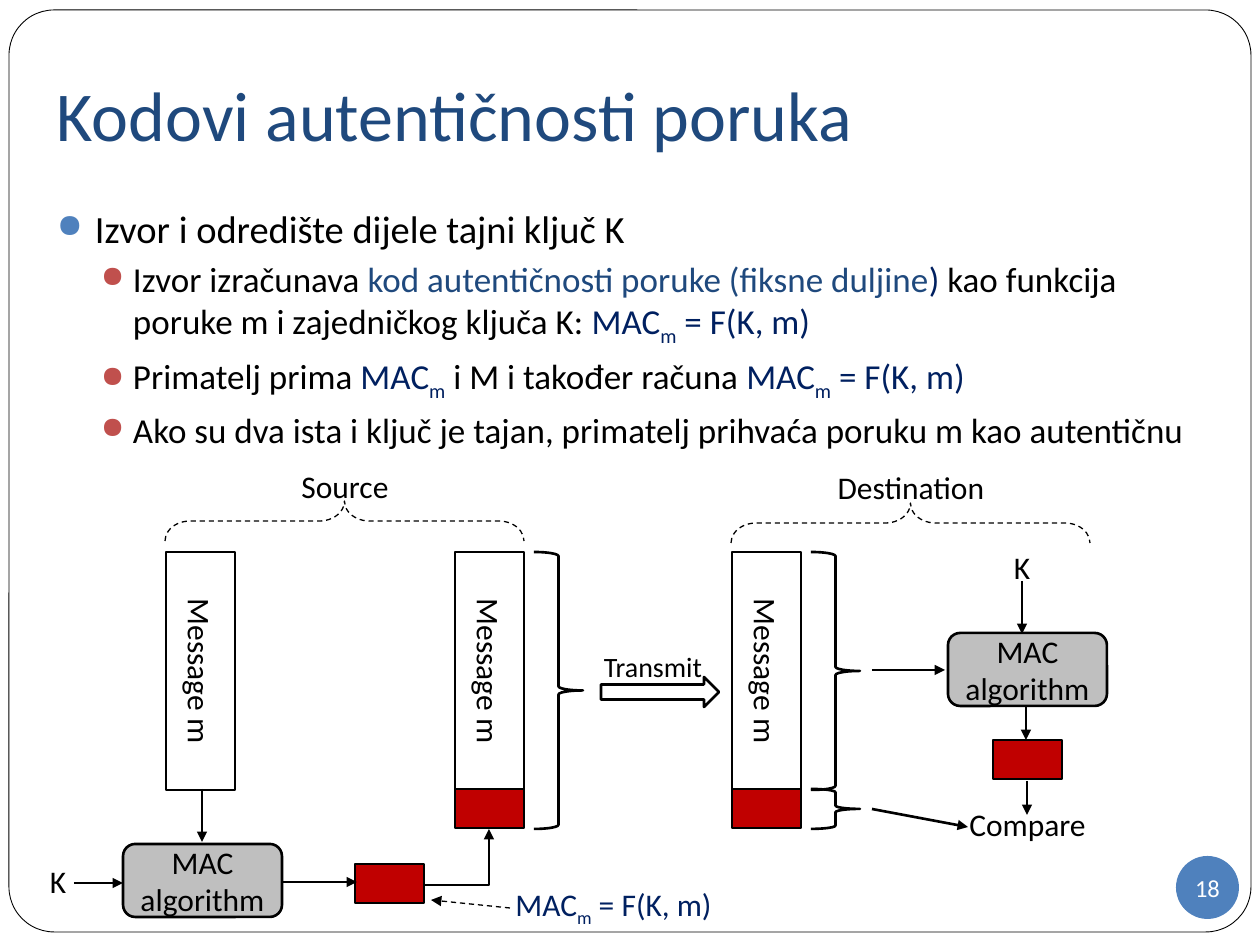
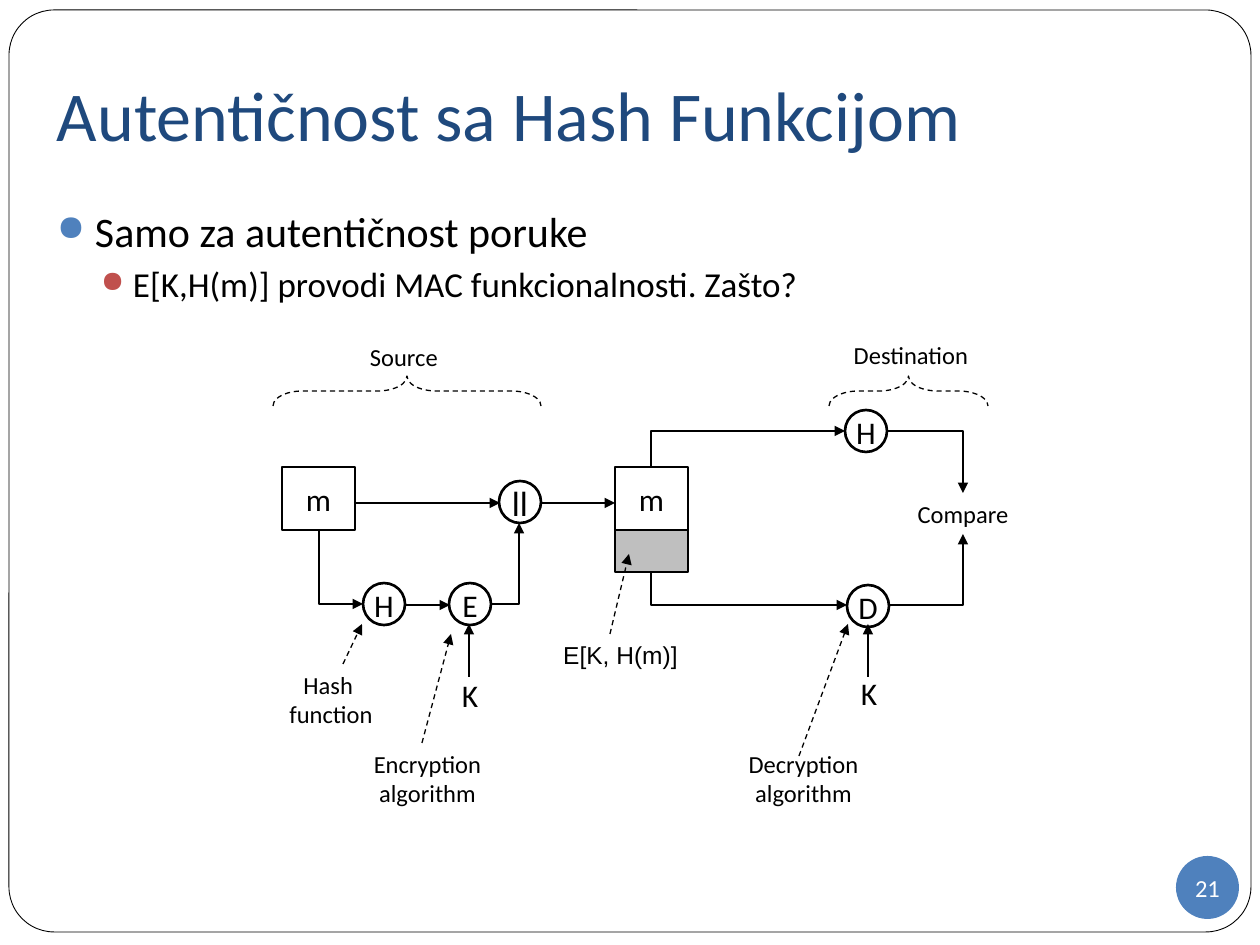
from pptx import Presentation
from pptx.dml.color import RGBColor
from pptx.enum.dml import MSO_LINE
from pptx.enum.shapes import MSO_CONNECTOR, MSO_SHAPE
from pptx.enum.text import MSO_ANCHOR, PP_ALIGN
from pptx.oxml.ns import qn
from pptx.util import Pt
from lxml import etree

PX = 914400 / 126  # EMU per pixel
C = {"title": "1F497D", "text": "000000", "navy": "002060", "white": "FFFFFF",
     "blue": "4F81BD", "brick": "C0504D", "red": "C00000", "grey": "BFBFBF"}
DASH = dict(line=0.75, dash=True)


def put(s, kind, x, y, w, h, text="", fill=None, line=1.5, dash=False, adj=None,
        up=False, size=18, color="text", font="Calibri", align=PP_ALIGN.CENTER,
        anchor=MSO_ANCHOR.MIDDLE, ins=(13, 6, 13, 6), wrap=True, vert=False):
    """Add a text box (kind None) or preset shape; text is a string or
    a list of paragraphs, each a list of (text, colour, subscript) runs."""
    if up:  # brace lying on its side: swap the sides about the same centre
        x, y, w, h = x + (w - h) / 2, y + (h - w) / 2, h, w
    box = [round(v * PX) for v in (x, y, w, h)]
    if kind is None:
        sp = s.shapes.add_textbox(*box)
    else:
        sp = s.shapes.add_shape(kind, *box)
        sp.shadow.inherit = False
        if fill:
            sp.fill.solid()
            sp.fill.fore_color.rgb = RGBColor.from_string(C[fill])
        else:
            sp.fill.background()
        if line:
            sp.line.color.rgb = RGBColor.from_string(C["text"])
            sp.line.width = Pt(line)
            if dash:
                sp.line.dash_style = MSO_LINE.DASH
        else:
            sp.line.fill.background()
        if adj is not None:
            sp.adjustments[0] = adj
    if up:
        sp.rotation = 270
    if not text:
        return sp
    tf = sp.text_frame
    tf.word_wrap = wrap
    tf.vertical_anchor = anchor
    tf.margin_left, tf.margin_top, tf.margin_right, tf.margin_bottom = [
        round(v * PX) for v in ins]
    if vert:
        tf._txBody.bodyPr.set("vert", "vert")
    if isinstance(text, str):
        text = [[(t, color)] for t in text.split("\n")]
    for i, runs in enumerate(text):
        p = tf.add_paragraph() if i else tf.paragraphs[0]
        p.alignment = align
        for t, c, *sub in runs:
            r = p.add_run()
            r.text = t
            r.font.name, r.font.size = font, Pt(size)
            r.font.color.rgb = RGBColor.from_string(C[c])
            if sub:
                r._r.get_or_add_rPr().set("baseline", "-25000")
    return sp


def arrow(s, x1, y1, x2, y2, bend=None, line=1.5, dash=False):
    """Arrow to (x2, y2); bend names the first leg of an elbow, h or v."""
    end = "a:tailEnd"
    if bend == "v":  # the preset elbow starts level, so draw it backwards
        x1, y1, x2, y2, end = x2, y2, x1, y1, "a:headEnd"
    cn = s.shapes.add_connector(MSO_CONNECTOR.ELBOW if bend else MSO_CONNECTOR.STRAIGHT,
                                *[round(v * PX) for v in (x1, y1, x2, y2)])
    spPr = cn._element.spPr
    if bend:
        spPr.find(qn("a:prstGeom")).set("prst", "bentConnector2")
    cn.line.color.rgb = RGBColor.from_string(C["text"])
    cn.line.width = Pt(line)
    if dash:
        cn.line.dash_style = MSO_LINE.DASH
    etree.SubElement(spPr.find(qn("a:ln")), qn(end), type="triangle")
    etree.SubElement(spPr, qn("a:effectLst"))


prs = Presentation()
prs.slide_width, prs.slide_height = round(1260 * PX), round(945 * PX)

mac = [("MAC", "navy"), ("m", "navy", True)]
formula = mac + [(" = F(K, m)", "navy")]
pages = [
    ("Kodovi autentičnosti poruka", "18", 22, [
        [("Izvor i odredište dijele tajni ključ K", "text")],
        [("Izvor izračunava ", "text"),
         ("kod autentičnosti poruke (fiksne duljine", "title"), (") ", "navy"),
         ("kao funkcija poruke m i zajedničkog ključa K: ", "text")] + formula,
        [("Primatelj prima ", "text")] + mac
        + [(" i M i također računa ", "text")] + formula,
        [("Ako su dva ista i ključ je tajan, primatelj prihvaća poruku m kao autentičnu",
          "text")]]),
    ("Autentičnost sa Hash Funkcijom", "21", 24, [
        [("Samo za autentičnost poruke", "text")],
        [("E[K,H(m)] provodi MAC funkcionalnosti. Zašto?", "text")]]),
]

# Shared frame, title, bullets and page number
slides = []
for title, number, first_size, body in pages:
    s = prs.slides.add_slide(prs.slide_layouts[6])
    slides.append(s)
    put(s, MSO_SHAPE.ROUNDED_RECTANGLE, 9, 10, 1242, 922, fill="white", line=0.5, adj=0.049)
    put(s, None, 44, 38, 1181, 157, title, size=40, color="title",
        align=PP_ALIGN.LEFT, ins=(13, 6, 13, 13))
    sp = put(s, None, 44, 199, 1181, 709, body, size=20, align=PP_ALIGN.LEFT,
             anchor=MSO_ANCHOR.TOP)
    for i, p in enumerate(sp.text_frame.paragraphs):
        left, hang, before, dot = (76, 32, 3.8, "brick") if i else (38, 38, 5.8, "blue")
        p.level = 1 if i else 0
        p.space_before = Pt(before)
        pPr = p._p.get_or_add_pPr()
        pPr.set("marL", str(round(left * PX)))
        pPr.set("indent", str(round(-hang * PX)))
        etree.SubElement(etree.SubElement(pPr, qn("a:buClr")), qn("a:srgbClr"), val=C[dot])
        etree.SubElement(pPr, qn("a:buSzPct"), val="85000")
        etree.SubElement(pPr, qn("a:buChar"), char="●")
    for r in sp.text_frame.paragraphs[0].runs:
        r.font.size = Pt(first_size)
    put(s, MSO_SHAPE.OVAL, 1176, 856, 63, 63, number, fill="blue", line=None,
        size=14, color="white", ins=(0, 0, 0, 0), wrap=False)

# Slide 1: message columns, with the code below the last two
s = slides[0]
for x in (166, 455, 732):
    put(s, MSO_SHAPE.RECTANGLE, x, 552, 69, 238, "Message m", vert=True)
for x, y in ((455, 789), (732, 789), (355, 864), (993, 740)):
    put(s, MSO_SHAPE.RECTANGLE, x, y, 69, 39, fill="red")
for x, y in ((123, 844), (948, 633)):
    put(s, MSO_SHAPE.ROUNDED_RECTANGLE, x, y, 159, 73, "MAC algorithm", fill="grey")

# Braces and the transmit arrow
for x, y in ((165, 501), (731, 503)):
    put(s, MSO_SHAPE.RIGHT_BRACE, x, y, 359, 40, up=True, adj=0.626, **DASH)
for x, y, h in ((534, 552, 277), (811, 552, 238), (811, 789, 40)):
    put(s, MSO_SHAPE.RIGHT_BRACE, x, y, 49, h)
put(s, MSO_SHAPE.RIGHT_ARROW, 601, 677, 118, 30)

# Labels
for text, x, y, w, size in (
        ("Source", 243, 461, 204, 18), ("Destination", 809, 462, 204, 18),
        ("K", 993, 542, 58, 18), ("K", 29, 856, 58, 18),
        ("Compare", 960, 799, 135, 18), ("Transmit", 551, 644, 204, 16),
        ([formula], 490, 879, 247, 18)):
    put(s, None, x, y, w, 50, text, size=size, anchor=MSO_ANCHOR.TOP,
        ins=(0, 6, 0, 6))

# Arrows
for ends in ((202, 789, 202, 842), (74, 883, 123, 883), (282, 882, 357, 882),
             (425, 885, 489, 829, "h"), (872, 670, 945, 670), (872, 809, 968, 827),
             (1022, 581, 1022, 634), (1026, 706, 1026, 740), (1027, 781, 1027, 815)):
    arrow(s, *ends)
arrow(s, 510, 908, 431, 900, **DASH)

# Slide 2: message boxes and operation circles
s = slides[1]
for x in (282, 615):
    put(s, MSO_SHAPE.RECTANGLE, x, 467, 73, 63, "m")
put(s, MSO_SHAPE.RECTANGLE, 615, 530, 73, 42, fill="grey")
for text, x, y, size in (("H", 363, 583, 18), ("E", 449, 583, 18), ("ll", 499, 481, 20),
                         ("H", 845, 410, 18), ("D", 847, 585, 18)):
    put(s, MSO_SHAPE.OVAL, x, y, 42, 42, text, size=size, ins=(0, 2, 0, 0), wrap=False)

# Braces
for x, w in ((273, 268), (829, 159)):
    put(s, MSO_SHAPE.RIGHT_BRACE, x, 376, w, 30, up=True, adj=0.981, **DASH)

# Labels
for x, y in ((441, 670), (840, 668)):
    put(s, None, x, y, 58, 50, "K", anchor=MSO_ANCHOR.TOP)
for text, x, y, w, h, font in (
        ("Source", 302, 336, 204, 43, "Calibri"),
        ("Destination", 809, 334, 204, 43, "Calibri"),
        ("Compare", 898, 493, 130, 43, "Calibri"),
        ("Hash \nfunction", 272, 664, 118, 72, "Calibri"),
        ("Encryption algorithm", 343, 743, 169, 72, "Calibri"),
        ("Decryption algorithm", 719, 743, 169, 72, "Calibri"),
        ("E[K, H(m)]", 541, 634, 159, 43, "Arial")):
    put(s, None, x, y, w, h, text, size=14, font=font, anchor=MSO_ANCHOR.TOP)

# Data flow arrows, then dashed pointers
for ends in ((354, 503, 500, 503), (542, 503, 615, 503), (404, 605, 450, 605),
             (469, 677, 469, 624), (868, 677, 868, 624),
             (319, 530, 363, 604, "v"), (490, 604, 519, 523, "h"),
             (651, 467, 845, 431, "v"), (651, 572, 847, 605, "v"),
             (888, 431, 963, 493, "h"), (890, 605, 963, 534, "h")):
    arrow(s, *ends)
for ends in ((343, 664, 362, 624), (422, 743, 451, 634),
             (799, 756, 848, 624), (610, 634, 629, 554)):
    arrow(s, *ends, **DASH)

prs.save("out.pptx")
